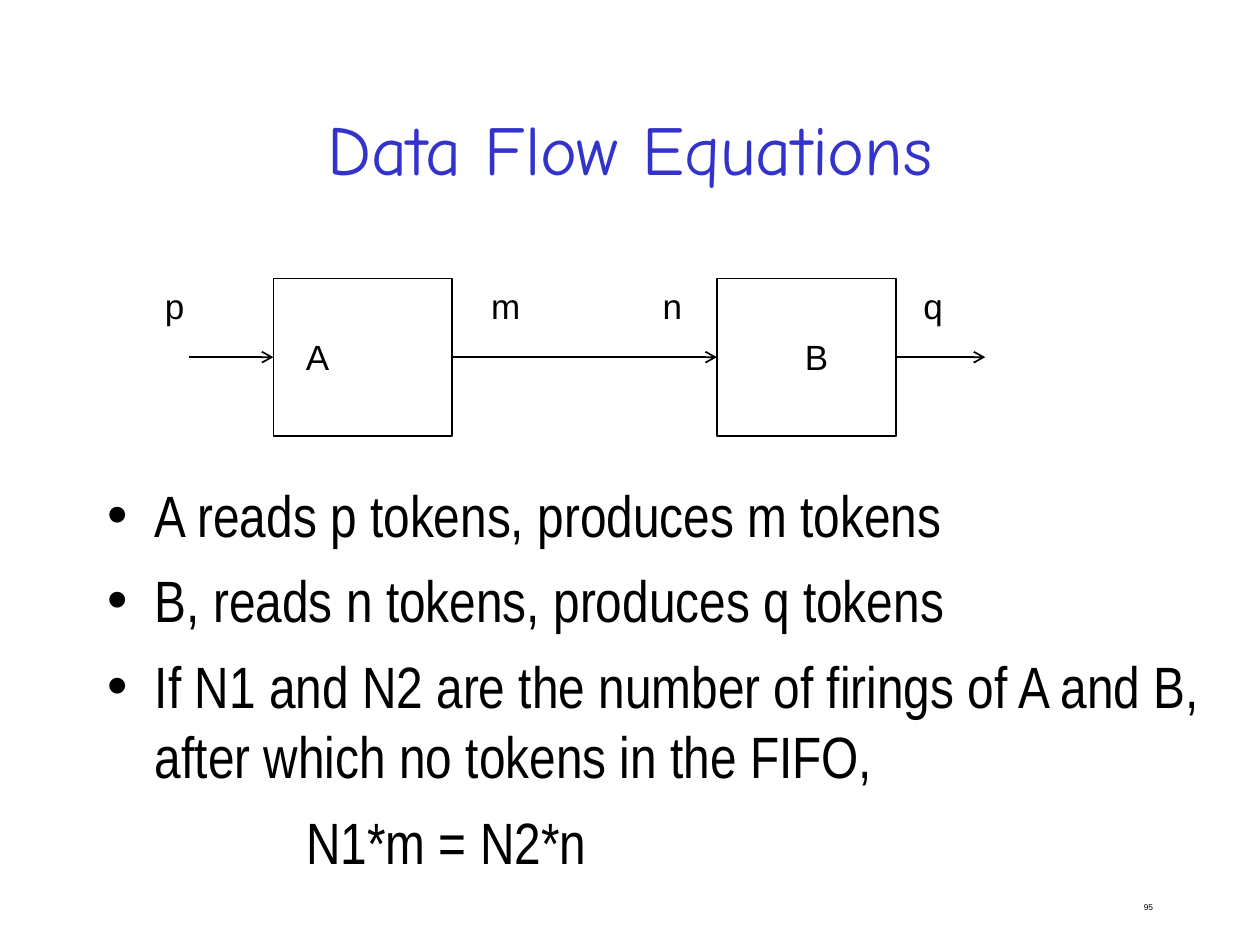
from dataclasses import dataclass

from lxml import etree
from pptx import Presentation
from pptx.dml.color import RGBColor
from pptx.enum.shapes import MSO_CONNECTOR as Connector, MSO_SHAPE as Shape
from pptx.enum.text import MSO_ANCHOR as Anchor, MSO_AUTO_SIZE as AutoSize, PP_ALIGN as Align
from pptx.oxml.ns import qn
from pptx.util import Inches, Pt


@dataclass(frozen=True)
class Theme:
    title_color: RGBColor = RGBColor(0x33, 0x33, 0xCC)
    ink: RGBColor = RGBColor(0, 0, 0)
    title_font: str = "Comic Neue"
    body_font: str = "Arial Narrow"
    label_font: str = "Arial"
    title_size: float = 40
    body_size: float = 33.3
    label_size: float = 20
    number_size: float = 4.8
    line_width: float = 1


THEME = Theme()


def place(shape, box):
    shape.left, shape.top, shape.width, shape.height = map(Inches, box)


def add_run(paragraph, text, font, size, color):
    run = paragraph.add_run()
    run.text = text
    run.font.name = font
    run.font.size = Pt(size)
    run.font.color.rgb = color


def set_bullet(paragraph, margin, indent, bullet):
    properties = paragraph._p.get_or_add_pPr()
    properties.set("marL", str(Inches(margin)))
    properties.set("indent", str(Inches(indent)))
    if bullet:
        etree.SubElement(properties, qn("a:buFont"), typeface=THEME.label_font)
        etree.SubElement(properties, qn("a:buChar"), char="•")
    else:
        etree.SubElement(properties, qn("a:buNone"))


def add_title(slide, box):
    title = slide.shapes.title
    place(title, box)
    frame = title.text_frame
    frame.auto_size = AutoSize.NONE
    frame.vertical_anchor = Anchor.MIDDLE
    paragraph = frame.paragraphs[0]
    paragraph.alignment = Align.CENTER
    add_run(paragraph, "Data Flow Equations", THEME.title_font, THEME.title_size, THEME.title_color)


def add_body(slide, box):
    body = slide.placeholders[1]
    place(body, box)
    frame = body.text_frame
    frame.auto_size = AutoSize.NONE
    lines = [
        ("A reads p tokens, produces m tokens", True),
        ("B, reads n tokens, produces q tokens", True),
        ("If N1 and N2 are the number of firings of A and B, "
         "after which no tokens in the FIFO,", True),
        ("N1*m = N2*n", False),
    ]
    for index, (text, bullet) in enumerate(lines):
        paragraph = frame.add_paragraph() if index else frame.paragraphs[0]
        margin, indent = (0.38, -0.38) if bullet else (1.58, 0)
        set_bullet(paragraph, margin, indent, bullet)
        paragraph.space_before = Pt(9 if index else 0)
        add_run(paragraph, text, THEME.body_font, THEME.body_size, THEME.ink)


def add_text(slide, box, text, size, align=Align.LEFT):
    text_box = slide.shapes.add_textbox(*map(Inches, box))
    text_box.text_frame.word_wrap = True
    paragraph = text_box.text_frame.paragraphs[0]
    paragraph.alignment = align
    add_run(paragraph, text, THEME.label_font, size, THEME.ink)
    return paragraph


def add_actor(slide, box):
    actor = slide.shapes.add_shape(Shape.RECTANGLE, *map(Inches, box))
    actor.shadow.inherit = False
    actor.fill.background()
    actor.line.color.rgb = THEME.ink
    actor.line.width = Pt(THEME.line_width)
    return actor


def add_arrow(slide, start, end, y, source=None, target=None):
    arrow = slide.shapes.add_connector(
        Connector.STRAIGHT, Inches(start), Inches(y), Inches(end), Inches(y))
    if source:
        arrow.begin_connect(source, 3)
    if target:
        arrow.end_connect(target, 1)
    arrow.line.color.rgb = THEME.ink
    arrow.line.width = Pt(THEME.line_width)
    etree.SubElement(arrow.line._get_or_add_ln(), qn("a:tailEnd"), type="arrow")
    etree.SubElement(arrow._element.spPr, qn("a:effectLst"))


def add_diagram(slide, box):
    left, top, width, height = box
    actor_width = 1.42
    a_left, b_left = left + 0.67, left + 4.19
    a_right, b_right = a_left + actor_width, b_left + actor_width
    middle = top + height / 2
    actor_a, actor_b = [
        add_actor(slide, (x, top, actor_width, height)) for x in (a_left, b_left)]

    add_arrow(slide, left, a_left, middle, target=actor_a)
    add_arrow(slide, a_right, b_left, middle, actor_a, actor_b)
    add_arrow(slide, b_right, left + width, middle, source=actor_b)

    labels = [
        ("p", -0.29, 0, 0.58), ("A", 0.83, 0.4, 0.58), ("m", 2.3, 0, 0.43),
        ("n", 3.66, 0, 0.35), ("B", 4.79, 0.4, 0.58), ("q", 5.73, 0, 0.58),
    ]
    for text, x, y, label_width in labels:
        add_text(slide, (left + x, top + y, label_width, 0.44), text, THEME.label_size)


def add_slide_number(slide, box):
    paragraph = add_text(slide, box, "95", THEME.number_size, Align.RIGHT)
    paragraph.line_spacing = 0.8


def main():
    presentation = Presentation()
    presentation.slide_width = Inches(10)
    presentation.slide_height = Inches(7.5)
    slide = presentation.slides.add_slide(presentation.slide_layouts[1])
    add_title(slide, (0.75, 0.67, 8.5, 1))
    add_body(slide, (0.75, 3.75, 8.92, 3.38))
    add_slide_number(slide, (7.17, 7.13, 2.08, 0.2))
    add_diagram(slide, (1.5, 2.21, 6.32, 1.25))
    presentation.save("out.pptx")


if __name__ == "__main__":
    main()
